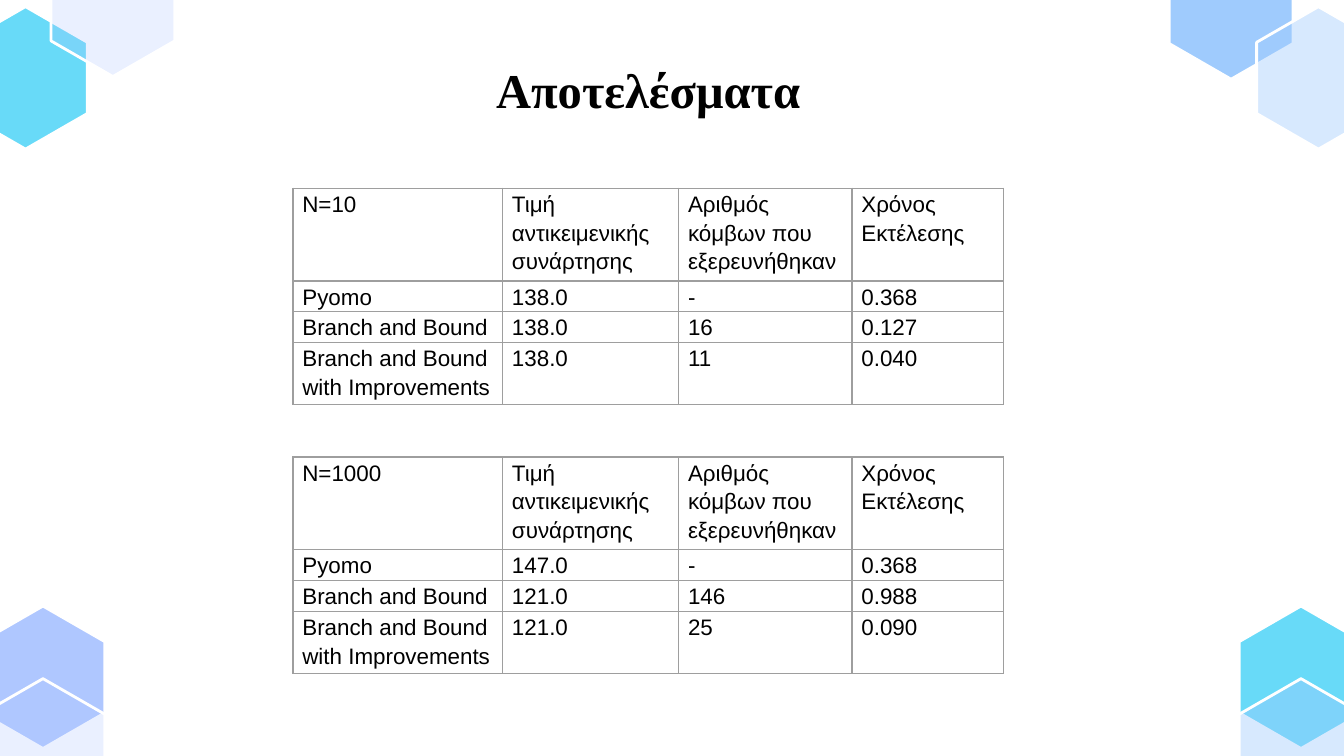
"""Build a results slide with two tables and hexagon corners."""
from dataclasses import dataclass

from lxml import etree
from pptx import Presentation
from pptx.dml.color import RGBColor
from pptx.enum.text import MSO_ANCHOR, PP_ALIGN
from pptx.oxml.ns import qn
from pptx.util import Inches, Pt

CENTER, LEFT = PP_ALIGN.CENTER, PP_ALIGN.LEFT
MIDDLE, TOP = MSO_ANCHOR.MIDDLE, MSO_ANCHOR.TOP
CELL = 0.1
HEX = ((0, -5.3), (-4.6, -2.65), (-4.6, 2.65),
       (0, 5.3), (4.6, 2.65), (4.6, -2.65))


@dataclass(frozen=True)
class Theme:
    ink: str = "000000"
    paper: str = "FFFFFF"
    rule: str = "9E9E9E"
    lilac: str = "AFC7FF"
    cyan: str = "68DAF8"
    sky: str = "9FCBFD"
    head: str = "Times New Roman"
    body: str = "Arial"
    big: float = 26
    small: float = 12
    edge: float = 1.5
    thin: float = 0.75


def grid(count):
    return Inches(count * CELL)


def color(code):
    return RGBColor.from_string(code)


def apply(item, values):
    for name, value in values.items():
        setattr(item, name, value)


class Deck:
    def __init__(self, theme, wide, high):
        self.theme = theme
        self.file = Presentation()
        apply(self.file, {"slide_width": grid(wide),
                          "slide_height": grid(high)})
        self.slide = self.file.slides.add_slide(self.file.slide_layouts[6])
        fill = self.slide.background.fill
        fill.solid()
        fill.fore_color.rgb = color(theme.paper)

    def label(self, frame, text, font, para):
        part = frame.paragraphs[0]
        apply(part, para)
        run = part.add_run()
        run.text = text
        apply(run.font, font)
        run.font.color.rgb = color(self.theme.ink)

    def hexagon(self, x, y, tint, alpha=100):
        points = [(grid(x + dx), grid(y + dy)) for dx, dy in HEX]
        outline = self.slide.shapes.build_freeform(*points[0], scale=1.0)
        outline.add_line_segments(points[1:], close=True)
        shape = outline.convert_to_shape()
        shape.shadow.inherit = False
        shape.fill.solid()
        shape.fill.fore_color.rgb = color(tint)
        shape.line.color.rgb = color(self.theme.paper)
        shape.line.width = Pt(self.theme.edge)
        if alpha < 100:
            tone = shape.element.spPr.find(f".//{qn('a:srgbClr')}")
            etree.SubElement(tone, qn("a:alpha"), val=str(alpha * 1000))

    def title(self, text, x, y, wide, high):
        box = self.slide.shapes.add_textbox(*map(grid, (x, y, wide, high)))
        frame = box.text_frame
        pad = grid(1)
        apply(frame, {"word_wrap": True, "vertical_anchor": MIDDLE,
                      "margin_left": pad, "margin_right": pad,
                      "margin_top": pad, "margin_bottom": pad})
        font = {"name": self.theme.head, "size": Pt(self.theme.big),
                "bold": True}
        self.label(frame, text, font, {"alignment": CENTER})

    def border(self, cell):
        props = cell._tc.get_or_add_tcPr()
        for side in ("lnL", "lnR", "lnT", "lnB"):
            line = etree.SubElement(props, qn(f"a:{side}"),
                                    w=str(Pt(self.theme.thin)))
            fill = etree.SubElement(line, qn("a:solidFill"))
            etree.SubElement(fill, qn("a:srgbClr"), val=self.theme.rule)

    def table(self, data, x, y, cols, rows):
        frame = self.slide.shapes.add_table(
            len(rows), len(cols), *map(grid, (x, y, sum(cols), sum(rows))))
        table = frame.table
        apply(table, {"first_row": False, "horz_banding": False})
        for col, wide in zip(table.columns, cols):
            col.width = grid(wide)
        for row, high, texts in zip(table.rows, rows, data):
            row.height = grid(high)
            for cell, text in zip(row.cells, texts):
                self.cell(cell, text)

    def cell(self, cell, text):
        apply(cell, {"margin_left": grid(0.7), "margin_right": grid(0.7),
                     "margin_top": 0, "margin_bottom": 0,
                     "vertical_anchor": TOP})
        self.border(cell)
        cell.fill.background()
        font = {"name": self.theme.body, "size": Pt(self.theme.small)}
        para = {"alignment": LEFT, "line_spacing": 1.15,
                "space_after": Pt(8)}
        self.label(cell.text_frame, text, font, para)


def main():
    theme = Theme()
    deck = Deck(theme, 100, 56.25)
    for spot in ((3.2, 50.4, theme.lilac), (3.2, 55.8, theme.lilac, 25),
                 (1.9, 5.8, theme.cyan), (8.4, 0.4, theme.lilac, 25),
                 (91.6, 0.6, theme.sky), (98.1, 5.8, theme.sky, 41),
                 (96.8, 50.4, theme.cyan), (96.8, 55.8, theme.sky, 41)):
        deck.hexagon(*spot)
    deck.title("Αποτελέσματα", 6.1, 3.5, 84.3, 6.3)

    heads = ("Τιμή αντικειμενικής συνάρτησης",
             "Αριθμός κόμβων που εξερευνήθηκαν", "Χρόνος Εκτέλεσης")
    names = ("Pyomo", "Branch and Bound", "Branch and Bound with Improvements")
    cols = (15.6, 13.1, 12.9, 11.3)
    rows = [2.1 * lines for lines in (3, 1, 1, 2)]
    tests = (
        ("N=10", 14, (("138.0", "-", "0.368"), ("138.0", "16", "0.127"),
                      ("138.0", "11", "0.040"))),
        ("N=1000", 34, (("147.0", "-", "0.368"), ("121.0", "146", "0.988"),
                        ("121.0", "25", "0.090"))),
    )
    for size, top, values in tests:
        data = [(size, *heads)]
        data += [(name, *line) for name, line in zip(names, values)]
        deck.table(data, 21.8, top, cols, rows)
    deck.file.save("out.pptx")


if __name__ == "__main__":
    main()
